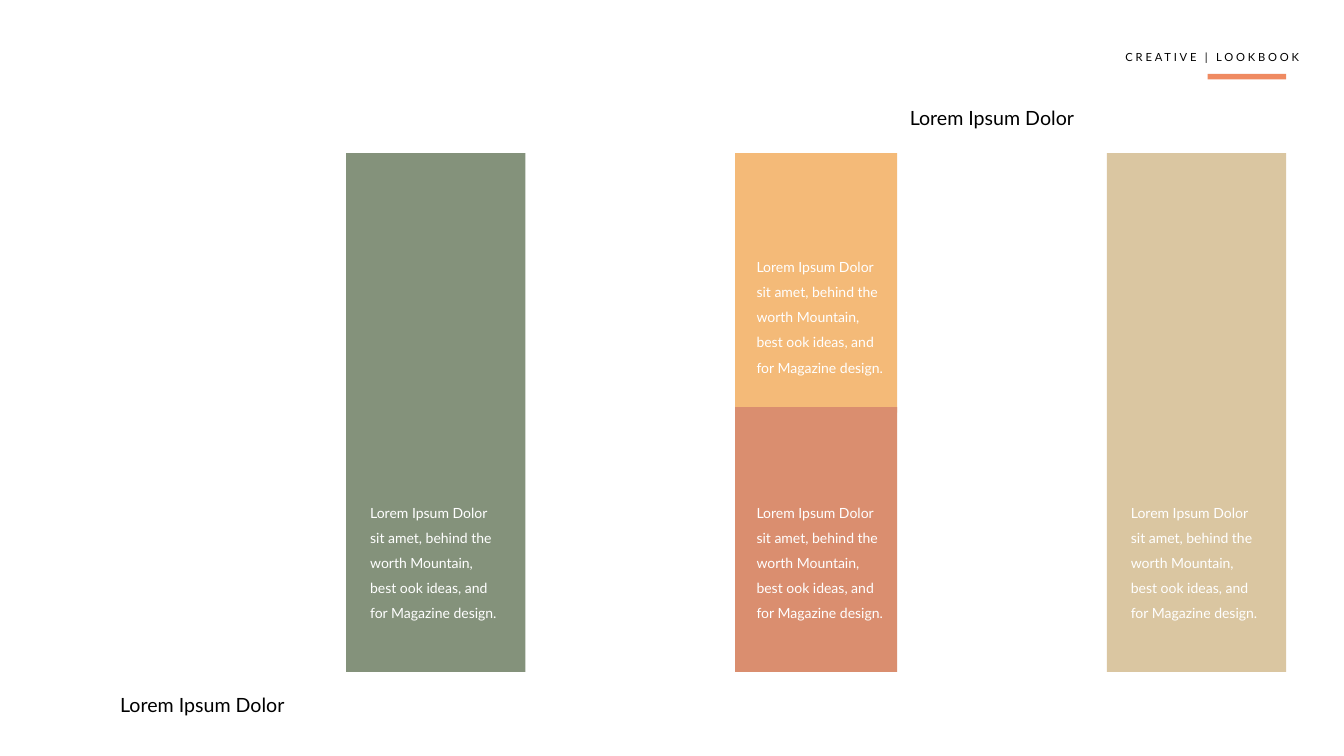
from pptx import Presentation
from pptx.dml.color import RGBColor
from pptx.enum.shapes import MSO_SHAPE
from pptx.enum.text import MSO_ANCHOR, PP_ALIGN
from pptx.util import Inches, Pt

RECTANGLE = MSO_SHAPE.RECTANGLE
TOP = MSO_ANCHOR.TOP
LEFT = PP_ALIGN.LEFT

BODY = ("Lorem Ipsum Dolor sit amet, behind the worth Mountain, "
        "best ook ideas, and for Magazine design.")
HEADING = "Lorem Ipsum Dolor"

HEADING_FORMAT = {"line_spacing": 0.9, "space_before": Pt(10)}
BODY_FORMAT = {"line_spacing": 1.5}


def color(value):
    return RGBColor.from_string(value)


class LookbookSlide:
    font = "Lato"
    black = "000000"
    white = "FFFFFF"

    def __init__(self, presentation):
        self.slide = presentation.slides.add_slide(presentation.slide_layouts[6])
        fill = self.slide.background.fill
        fill.solid()
        fill.fore_color.rgb = color(self.white)

    def block(self, left, top, width, height, fill):
        shape = self.slide.shapes.add_shape(
            RECTANGLE, Inches(left), Inches(top), Inches(width), Inches(height))
        shape.shadow.inherit = False
        shape.fill.solid()
        shape.fill.fore_color.rgb = color(fill)
        shape.line.fill.background()

    def text(self, words, left, top, width, height, size, ink, paragraph_format, tracking=0):
        box = self.slide.shapes.add_textbox(
            Inches(left), Inches(top), Inches(width), Inches(height))
        frame = box.text_frame
        frame.word_wrap = True
        frame.vertical_anchor = TOP
        paragraph = frame.paragraphs[0]
        for name, value in {"alignment": LEFT, **paragraph_format}.items():
            setattr(paragraph, name, value)
        run = paragraph.add_run()
        run.text = words
        for name, value in {"name": self.font, "size": Pt(size)}.items():
            setattr(run.font, name, value)
        run.font.color.rgb = color(ink)
        if tracking:
            # Letter spacing is stored in hundredths of a point
            run.font._element.set("spc", str(tracking * 100))

    def heading(self, left, top):
        self.text(HEADING, left, top, 4.5, 0.67, 21, self.black, HEADING_FORMAT)

    def body(self, left, top):
        self.text(BODY, left, top, 2.16, 1.4, 15, self.white, BODY_FORMAT)


def main():
    presentation = Presentation()
    presentation.slide_width = Inches(20)
    presentation.slide_height = Inches(11.25)
    page = LookbookSlide(presentation)

    # Running header with accent bar
    page.text("CREATIVE | LOOKBOOK", 16.65, 0.72, 3.01, 0.38, 12,
              page.black, HEADING_FORMAT, tracking=3)
    page.block(17.97, 1.1, 1.17, 0.08, "EF8A61")

    # Colour columns, the middle one split in two
    column_top = 2.28
    for left, top, width, height, fill in (
        (5.15, column_top, 2.67, 7.72, "84927B"),
        (10.94, column_top, 2.41, 3.86, "F4BA78"),
        (10.94, 6.06, 2.41, 3.94, "DA8E6F"),
        (16.47, column_top, 2.67, 7.72, "DAC6A1"),
    ):
        page.block(left, top, width, height, fill)

    # Body copy on the columns
    upper, lower = 3.67, 7.33
    for left, top in ((5.41, lower), (11.16, lower), (11.16, upper), (16.73, lower)):
        page.body(left, top)

    # Headings
    page.heading(1.69, 10.3)
    page.heading(13.44, 1.56)

    presentation.save("out.pptx")


if __name__ == "__main__":
    main()
